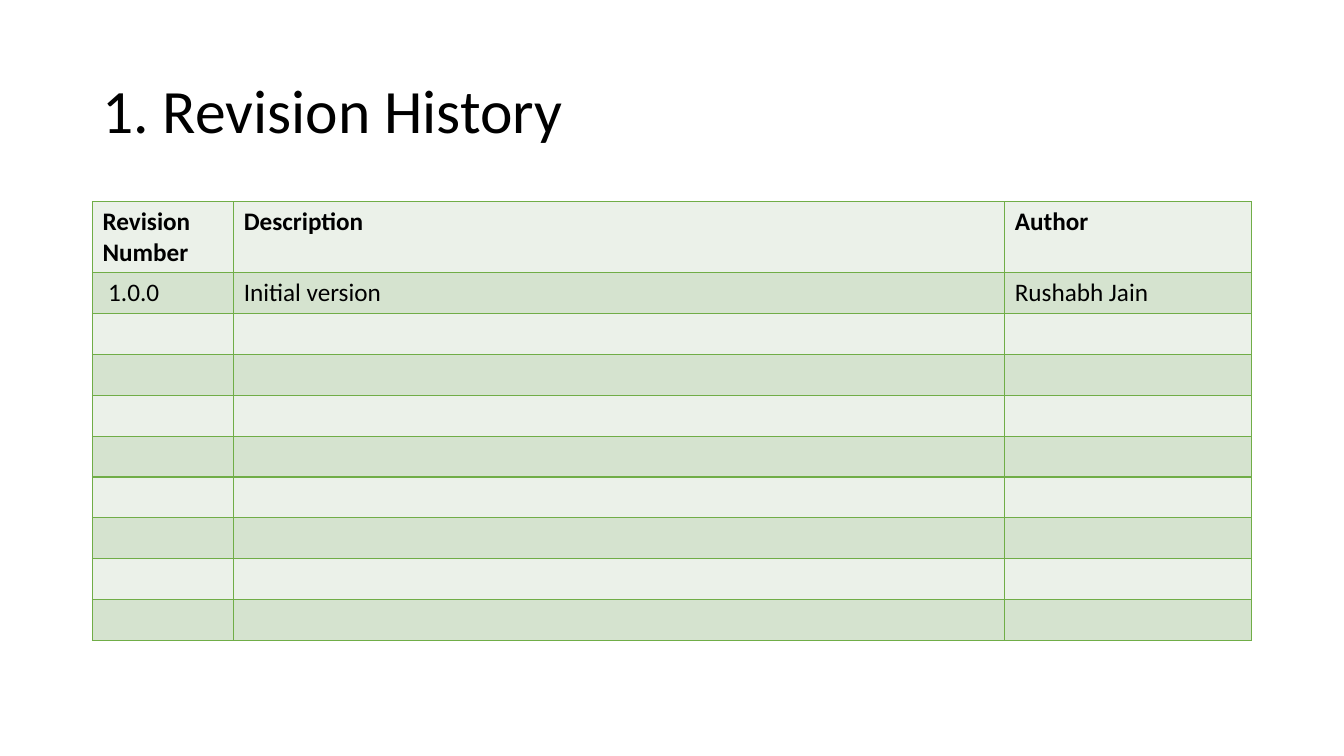
import dataclasses

import lxml.etree
import pptx
import pptx.dml.color
import pptx.enum.text
import pptx.oxml.ns
import pptx.util

Cm = pptx.util.Cm
Pt = pptx.util.Pt
qn = pptx.oxml.ns.qn


@dataclasses.dataclass(frozen=True)
class Theme:
    """Colours, font and type sizes of the slide."""
    font: str = "Calibri"
    ink: str = "000000"
    rule: str = "70AD47"
    bands: tuple = ("EBF1E9", "D5E3CF")
    title: int = 44
    body: int = 18
    line: int = 1


THEME = Theme()
LEFT = 2.33
WIDTHS = (3.56, 19.43, 6.22)
HEAD = 1.79
ROW = 1.03
ROWS = 10
LOG = (
    ("Revision Number", "Description", "Author"),
    (" 1.0.0", "Initial version", "Rushabh Jain"),
)


def rgb(code):
    """Turn a hex code into a colour."""
    return pptx.dml.color.RGBColor.from_string(code)


def style(frame, size, bold=False):
    """Format every run of a text frame."""
    for para in frame.paragraphs:
        for run in para.runs:
            run.font.name = THEME.font
            run.font.size = Pt(size)
            run.font.bold = bold
            run.font.color.rgb = rgb(THEME.ink)


def border(cell):
    """Draw a thin rule on all four sides of a cell."""
    props = cell._tc.get_or_add_tcPr()
    for spot, side in enumerate(("lnL", "lnR", "lnT", "lnB")):
        line = lxml.etree.Element(qn("a:" + side), w=str(Pt(THEME.line)))
        fill = lxml.etree.SubElement(line, qn("a:solidFill"))
        lxml.etree.SubElement(fill, qn("a:srgbClr"), val=THEME.rule)
        props.insert(spot, line)


def add_title(slide, text):
    """Add the slide title."""
    box = slide.shapes.add_textbox(Cm(LEFT), Cm(1.01), Cm(sum(WIDTHS)), Cm(3.68))
    frame = box.text_frame
    frame.word_wrap = True
    frame.vertical_anchor = pptx.enum.text.MSO_ANCHOR.MIDDLE
    frame.text = text
    frame.paragraphs[0].line_spacing = 0.9
    style(frame, THEME.title)


def add_log(slide):
    """Add the banded revision table."""
    tall = HEAD + ROW * (ROWS - 1)
    frame = slide.shapes.add_table(
        ROWS, len(WIDTHS), Cm(LEFT), Cm(5.08), Cm(sum(WIDTHS)), Cm(tall))
    table = frame.table
    table.first_row = False
    table.horz_banding = False
    for col, width in zip(table.columns, WIDTHS):
        col.width = Cm(width)
    for num, row in enumerate(table.rows):
        row.height = Cm(ROW if num else HEAD)
        for cell in row.cells:
            cell.fill.solid()
            cell.fill.fore_color.rgb = rgb(THEME.bands[num % 2])
            border(cell)
    for num, words in enumerate(LOG):
        for cell, text in zip(table.rows[num].cells, words):
            cell.text_frame.text = text
            style(cell.text_frame, THEME.body, bold=num == 0)


def main():
    """Build and save the slide."""
    deck = pptx.Presentation()
    deck.slide_width = Cm(33.87)
    deck.slide_height = Cm(19.05)
    slide = deck.slides.add_slide(deck.slide_layouts[6])
    add_title(slide, "1. Revision History")
    add_log(slide)
    deck.save("out.pptx")


main()
